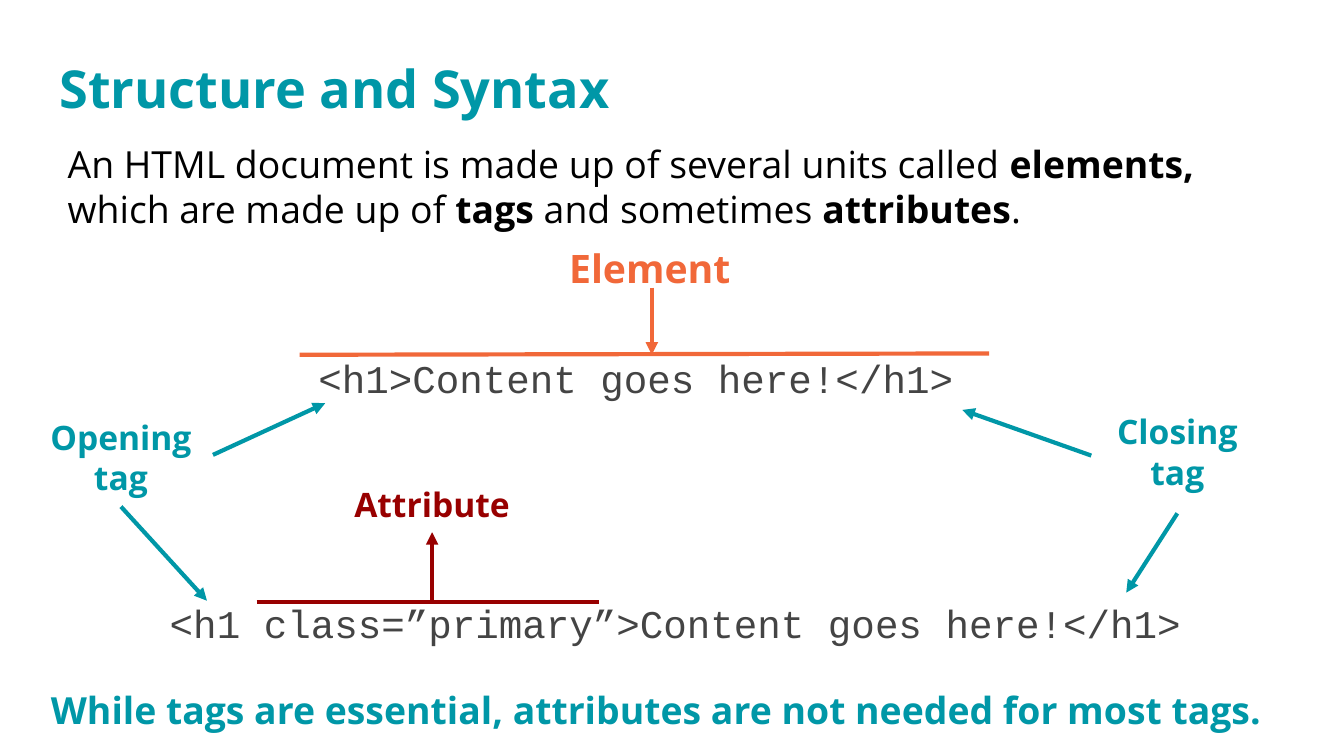
from lxml.etree import SubElement
from pptx import Presentation
from pptx.dml.color import RGBColor
from pptx.enum.shapes import MSO_CONNECTOR as Line
from pptx.enum.text import PP_ALIGN as Align
from pptx.oxml.ns import qn
from pptx.util import Inches, Pt

WIDTH = Inches(10)
HEIGHT = WIDTH * 9 // 16
COLS, ROWS = 100, 56.25
COLORS = {"teal": "0097A7", "orange": "F16839", "red": "980000",
          "black": "000000", "gray": "444444"}
TOP, LEFT, BOTTOM, RIGHT = range(4)

# style: font, bold, alignment, space after
STYLES = {
    "heading": ("Open Sans", True, Align.LEFT, 0),
    "body": ("Open Sans", False, Align.LEFT, 0),
    "label": ("Open Sans", True, Align.CENTER, 0),
    "code": ("Courier New", False, Align.LEFT, 16),
}

# name: text, style, size, colour, (column, row, columns, rows); ** marks bold
TEXTS = {
    "title": ("Structure and Syntax", "heading", 28, "teal", (3.45, 3.2, 93.2, 5.6)),
    "intro": ("An HTML document is made up of several units called **elements, **"
              "which are made up of **tags** and sometimes **attributes**.",
              "body", 20, "black", (4.05, 9.5, 92, 8.6)),
    "simple": ("<h1>Content goes here!</h1>", "code", 21, "gray", (22.7, 25.4, 53.5, 5.6)),
    "with attribute": ("<h1 class=”primary”>Content goes here!</h1>",
                       "code", 21, "gray", (11.65, 43.6, 78.7, 5.1)),
    "element": ("Element", "label", 21, "orange", (40.1, 17.2, 16.5, 5.6)),
    "opening": ("Opening tag", "label", 18, "teal", (2.15, 30, 13.7, 7.7)),
    "closing": ("Closing tag", "label", 18, "teal", (81.2, 29.6, 12.8, 8.6)),
    "attribute": ("Attribute", "label", 18, "red", (24.6, 35, 15.1, 4.6)),
    "takeaway": ("While tags are essential, attributes are not needed for most tags.",
                 "heading", 20, "teal", (2.8, 50.1, 94.4, 4.5)),
}

# start, end, colour, arrowhead; an end is a (column, row) or a (label, side)
LINES = [
    (("opening", RIGHT), (24.2, 30), "teal", True),
    (("closing", LEFT), (71.6, 30.5), "teal", True),
    (("opening", BOTTOM), (15.4, 44.7), "teal", True),
    (("closing", BOTTOM), (83.8, 44.1), "teal", True),
    ((19.1, 44.8), (44.6, 44.8), "red", False),
    ((32.15, 44.7), ("attribute", BOTTOM), "red", True),
    ((22.3, 26.4), (73.6, 26.3), "orange", False),
    ((48.5, 21.4), (48.5, 26.4), "orange", True),
]


def x(col):
    return round(WIDTH * col / COLS)


def y(row):
    return round(HEIGHT * row / ROWS)


def rgb(name):
    return RGBColor.from_string(COLORS[name])


def add_text(s, text, style, size, color, box):
    font, bold, align, after = STYLES[style]
    col, row, cols, rows = box
    sp = s.shapes.add_textbox(x(col), y(row), x(cols), y(rows))
    tf = sp.text_frame
    tf.word_wrap = True
    tf.margin_left = tf.margin_right = tf.margin_top = tf.margin_bottom = Inches(0.1)
    p = tf.paragraphs[0]
    p.alignment, p.space_after = align, Pt(after)
    for i, part in enumerate(text.split("**")):
        r = p.add_run()
        r.text = part
        r.font.name, r.font.size = font, Pt(size)
        r.font.bold = bold or i % 2 == 1
        r.font.color.rgb = rgb(color)
    return sp


def add_line(s, start, end, color, arrow, labels):
    cn = s.shapes.add_connector(Line.STRAIGHT, 0, 0, 0, 0)
    if start[0] in labels:
        cn.begin_connect(labels[start[0]], start[1])
    else:
        cn.begin_x, cn.begin_y = x(start[0]), y(start[1])
    if end[0] in labels:
        cn.end_connect(labels[end[0]], end[1])
    else:
        cn.end_x, cn.end_y = x(end[0]), y(end[1])
    cn.line.color.rgb, cn.line.width = rgb(color), Pt(2.25)
    props = cn.element.spPr
    if arrow:
        SubElement(props.find(qn("a:ln")), qn("a:tailEnd"), type="triangle")
    SubElement(props, qn("a:effectLst"))


def main():
    prs = Presentation()
    prs.slide_width, prs.slide_height = WIDTH, HEIGHT
    s = prs.slides.add_slide(prs.slide_layouts[6])
    labels = {name: add_text(s, *item) for name, item in TEXTS.items()}
    for item in LINES:
        add_line(s, *item, labels)
    prs.save("out.pptx")


if __name__ == "__main__":
    main()
